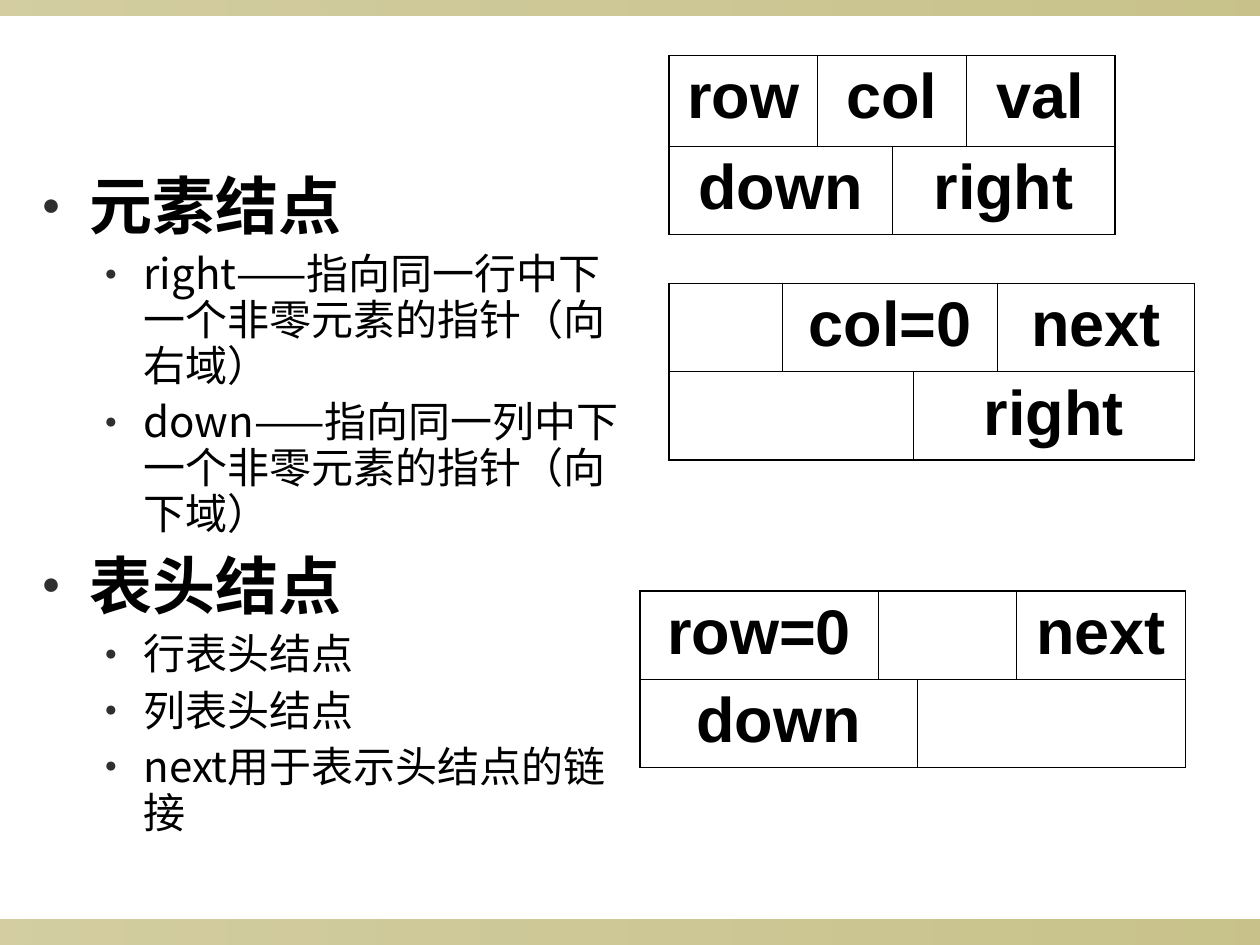
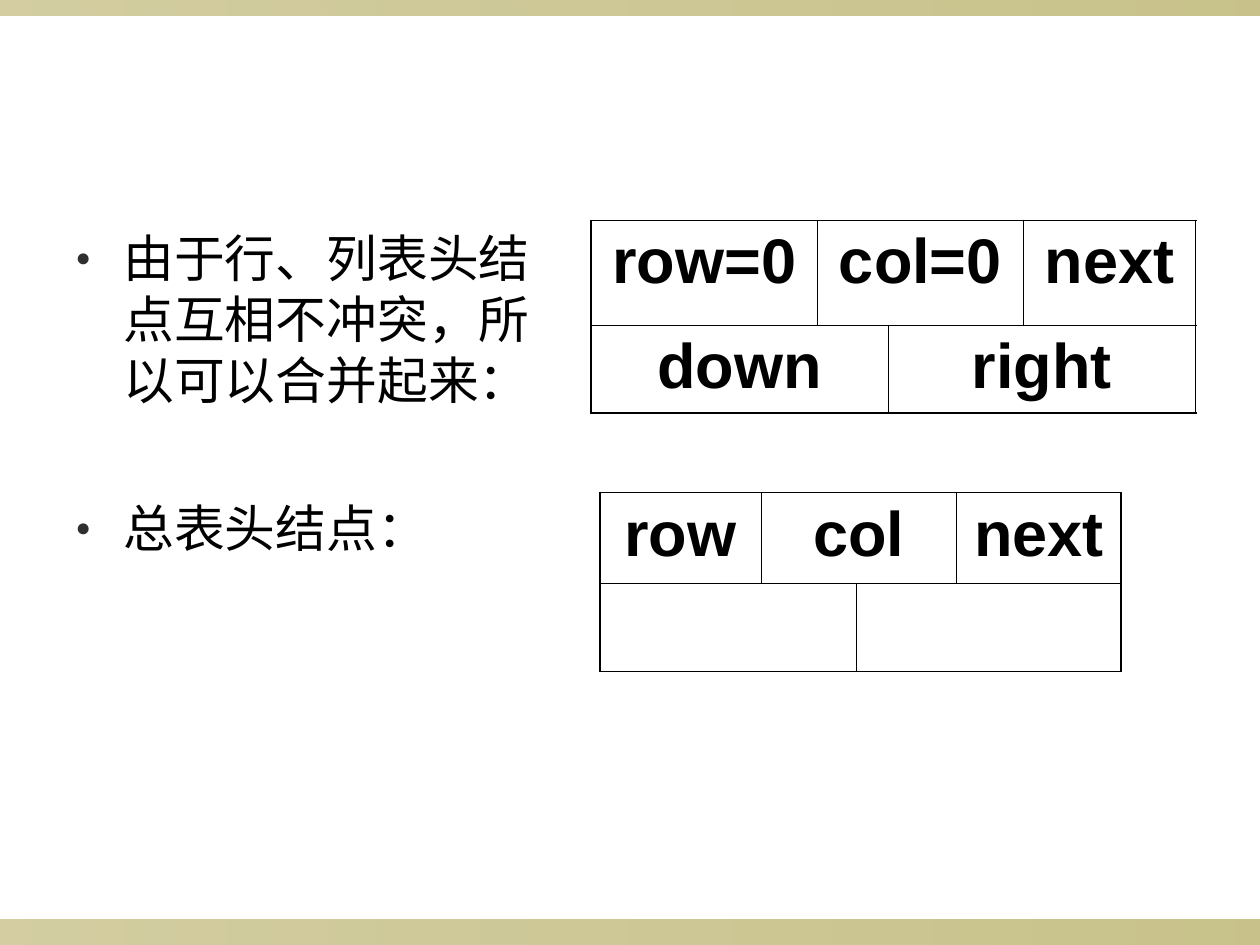
from dataclasses import dataclass

from lxml.etree import SubElement
from pptx import Presentation
from pptx.dml.color import RGBColor
from pptx.enum.shapes import MSO_SHAPE
from pptx.enum.text import MSO_AUTO_SIZE, PP_ALIGN
from pptx.oxml.ns import qn
from pptx.util import Inches, Pt

SLIDE_WIDTH, SLIDE_HEIGHT = Inches(10), Inches(7.5)
COLUMN, ROW = SLIDE_WIDTH / 100, SLIDE_HEIGHT / 75

INK = RGBColor(0x00, 0x00, 0x00)
BULLET = RGBColor(0x2F, 0x2F, 0x2F)
OLIVE = RGBColor(0x91, 0x84, 0x15)

BODY_FONT, FIELD_FONT = "Noto Sans CJK SC", "Arial"
FIELD_SIZE = 36
OUTER_RULE, INNER_RULE = Pt(1.08), Pt(0.45)
BAND_OPACITIES = (40, 50)
NODE_SPANS = (((0, 0), (1, 2), (3, 3)), ((0, 1), (2, 3)))


@dataclass
class Box:
    """A region in grid columns and rows."""

    left: float
    top: float
    width: float
    height: float

    def lengths(self):
        """Return left, top, width and height in EMU."""
        return (round(self.left * COLUMN), round(self.top * ROW),
                round(self.width * COLUMN), round(self.height * ROW))


@dataclass
class Style:
    """The look of one list level."""

    size: float
    pitch: float
    before: float
    margin: float = 0.38
    hanging: float = 0.38
    level: int = 0
    bold: bool = False


HEADING = Style(36, 38.9, 9, bold=True)
DETAIL = Style(24, 26.2, 6, margin=0.81, hanging=0.31, level=1)
REMARK = Style(29, 34.9, 7.3)
SPACED_REMARK = Style(29, 34.9, 49.5)

BANDS = (Box(0, 73, 100, 2), Box(0, 0, 100, 1.2))


def add_band(slide, box):
    """Draw a translucent olive band across the box."""
    band = slide.shapes.add_shape(MSO_SHAPE.RECTANGLE, *box.lengths())
    band.shadow.inherit = False
    band.line.fill.background()
    band.fill.gradient()
    band.fill.gradient_angle = 0
    for stop in band.fill.gradient_stops:
        stop.color.rgb = OLIVE
    tints = band._element.spPr.iter(qn("a:srgbClr"))
    for tint, opacity in zip(tints, BAND_OPACITIES):
        SubElement(tint, qn("a:alpha"), val=str(opacity * 1000))


def add_bullet(paragraph, style):
    """Give the paragraph a hanging half-size bullet and an East Asian font."""
    properties = paragraph._p.get_or_add_pPr()
    properties.set("marL", str(Inches(style.margin)))
    properties.set("indent", str(-Inches(style.hanging)))
    defaults = properties.find(qn("a:defRPr"))
    SubElement(defaults, qn("a:ea"), typeface=BODY_FONT)
    colour = SubElement(properties, qn("a:buClr"))
    SubElement(colour, qn("a:srgbClr"), val=str(BULLET))
    size = SubElement(properties, qn("a:buSzPct"), val="50000")
    character = SubElement(properties, qn("a:buChar"), char="●")
    for part in (colour, size, character):
        defaults.addprevious(part)


def fill_body(slide, box, points):
    """Move the body placeholder to the box and write its points."""
    body = slide.placeholders[1]
    body.left, body.top, body.width, body.height = box.lengths()
    frame = body.text_frame
    frame.word_wrap = True
    frame.auto_size = MSO_AUTO_SIZE.NONE
    for number, (wording, style) in enumerate(points):
        paragraph = frame.add_paragraph() if number else frame.paragraphs[0]
        paragraph.text = wording
        paragraph.level = style.level
        paragraph.line_spacing = Pt(style.pitch)
        paragraph.space_before = Pt(style.before)
        font = paragraph.font
        font.size, font.bold, font.name = Pt(style.size), style.bold, BODY_FONT
        font.color.rgb = INK
        add_bullet(paragraph, style)


def set_borders(cell, outer_sides):
    """Rule the cell, heavier on the sides at the edge of the node."""
    properties = cell._tc.get_or_add_tcPr()
    for position, side in enumerate("LRTB"):
        width = OUTER_RULE if side in outer_sides else INNER_RULE
        rule = SubElement(properties, qn(f"a:ln{side}"), w=str(width))
        fill = SubElement(rule, qn("a:solidFill"))
        SubElement(fill, qn("a:srgbClr"), val=str(INK))
        properties.insert(position, rule)


def write_field(cell, name):
    """Centre a bold field name in the cell."""
    paragraph = cell.text_frame.paragraphs[0]
    paragraph.text = name
    paragraph.alignment = PP_ALIGN.CENTER
    font = paragraph.font
    font.size, font.bold, font.name = Pt(FIELD_SIZE), True, FIELD_FONT
    font.color.rgb = INK


def add_node(slide, left, top, widths, heights, fields):
    """Draw a list node with three fields above two."""
    box = Box(left, top, sum(widths), sum(heights))
    node = slide.shapes.add_table(2, 4, *box.lengths()).table
    node.first_row = node.horz_banding = False
    for column, width in zip(node.columns, widths):
        column.width = round(width * COLUMN)
    for row, height in zip(node.rows, heights):
        row.height = round(height * ROW)
    for row, (spans, names) in enumerate(zip(NODE_SPANS, fields)):
        for (first, last), name in zip(spans, names):
            sides = "TB"[row] + "L" * (first == 0) + "R" * (last == 3)
            for column in range(first, last + 1):
                cell = node.cell(row, column)
                cell.fill.background()
                set_borders(cell, sides)
            field = node.cell(row, first)
            if last > first:
                field.merge(node.cell(row, last))
            if name:
                write_field(field, name)


def add_node_slide(deck, body_box, points, nodes):
    """Add a banded slide with a list on the left and nodes on the right."""
    slide = deck.slides.add_slide(deck.slide_layouts[1])
    title = slide.shapes.title._element
    title.getparent().remove(title)
    for band in BANDS:
        add_band(slide, band)
    fill_body(slide, body_box, points)
    for node in nodes:
        add_node(slide, *node)


def main():
    """Build and save the deck."""
    deck = Presentation()
    deck.slide_width, deck.slide_height = SLIDE_WIDTH, SLIDE_HEIGHT
    add_node_slide(
        deck, Box(2.3, 13.3, 48.5, 54.4),
        [("元素结点", HEADING),
         ("right——指向同一行中下一个非零元素的指针（向右域）", DETAIL),
         ("down——指向同一列中下一个非零元素的指针（向下域）", DETAIL),
         ("表头结点", HEADING),
         ("行表头结点", DETAIL),
         ("列表头结点", DETAIL),
         ("next用于表示头结点的链接", DETAIL)],
        [(53.1, 4.4, (11.8, 5.9, 5.9, 11.8), (7.2, 7),
          (("row", "col", "val"), ("down", "right"))),
         (53.1, 22.5, (9, 10.4, 6.7, 15.6), (7, 7),
          (("", "col=0", "next"), ("", "right"))),
         (50.8, 46.9, (18.9, 3.1, 7.9, 13.4), (7, 7),
          (("row=0", "", "next"), ("down", "")))])
    add_node_slide(
        deck, Box(5, 17.5, 39.5, 29.3),
        [("由于行、列表头结点互相不冲突，所以可以合并起来：", REMARK),
         ("总表头结点：", SPACED_REMARK)],
        [(46.9, 17.5, (18, 5.6, 10.7, 13.7), (8.3, 7),
          (("row=0", "col=0", "next"), ("down", "right"))),
         (47.6, 39.1, (12.8, 7.6, 7.9, 13.1), (7.2, 7),
          (("row", "col", "next"), ("", "")))])
    deck.save("out.pptx")


if __name__ == "__main__":
    main()
